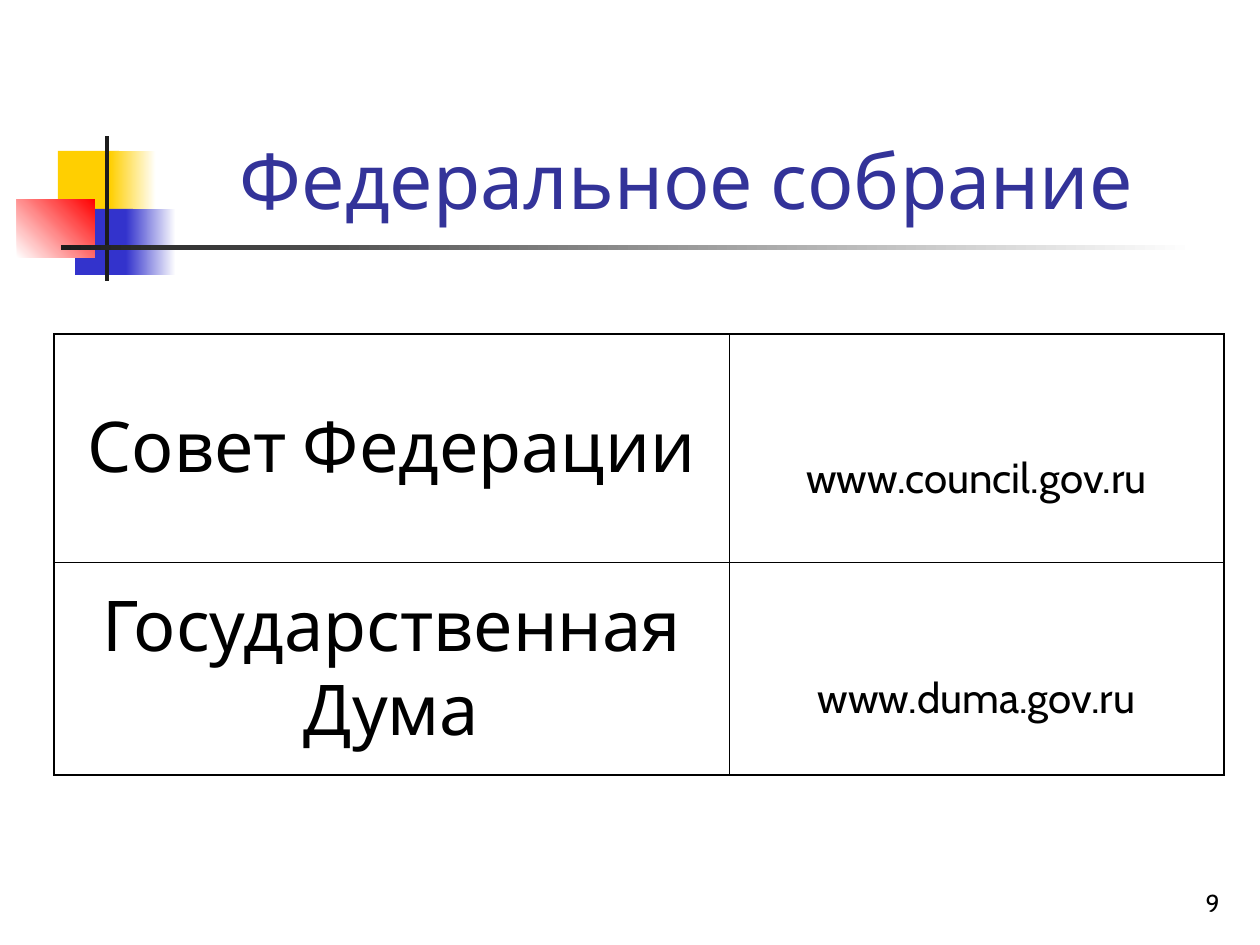
from dataclasses import dataclass

import pptx
import pptx.dml.color
import pptx.enum.dml
import pptx.enum.shapes
import pptx.enum.text
import pptx.oxml
import pptx.oxml.ns
import pptx.util

ALIGN = pptx.enum.text.PP_ALIGN
ANCHOR = pptx.enum.text.MSO_ANCHOR
EMU_PER_PX = 914400 / 126


@dataclass(frozen=True)
class Theme:
    font: str = "Cabin"
    white: str = "FFFFFF"
    black: str = "000000"
    title: str = "333399"
    yellow: str = "FFCF01"
    blue: str = "3333CC"
    red: str = "FF0000"
    bar: str = "1C1C1C"
    title_size: int = 44
    name_size: int = 40
    address_size: int = 24
    number_size: int = 14
    outer_line: float = 1.08
    inner_line: float = 0.45


@dataclass(frozen=True)
class Block:
    left: int
    top: int
    width: int
    height: int
    start: str
    end: str = ""
    angle: int = 0


@dataclass(frozen=True)
class Chamber:
    name: str
    address: str
    height: int


THEME = Theme()
BLOCKS = (
    Block(58, 151, 61, 66, THEME.yellow),
    Block(110, 151, 46, 66, THEME.yellow, THEME.white),
    Block(75, 209, 58, 66, THEME.blue),
    Block(126, 209, 50, 66, THEME.blue, THEME.white),
    Block(17, 199, 78, 59, THEME.white, THEME.red, 45),
    Block(105, 136, 4, 145, THEME.bar),
    Block(61, 245, 1134, 5, THEME.bar, THEME.white),
)
CHAMBERS = (
    Chamber("Совет Федерации", "www.council.gov.ru", 228),
    Chamber("Государственная Дума", "www.duma.gov.ru", 213),
)
COLUMN_WIDTHS = (675, 495)
ADDRESS_TOP_MARGIN = 67


def px(value: int) -> int:
    return round(value * EMU_PER_PX)


def rgb(value: str) -> pptx.dml.color.RGBColor:
    return pptx.dml.color.RGBColor.from_string(value)


def write(frame, text: str, *, size: int, color: str = THEME.black,
          align=ALIGN.CENTER, before: int = 0) -> None:
    frame.word_wrap = True
    para = frame.paragraphs[0]
    para.alignment = align
    para.space_before = pptx.util.Pt(before)
    span = para.add_run()
    span.text = text
    span.font.name = THEME.font
    span.font.size = pptx.util.Pt(size)
    span.font.color.rgb = rgb(color)


def draw_block(page, block: Block) -> None:
    shape = page.shapes.add_shape(
        pptx.enum.shapes.MSO_SHAPE.RECTANGLE,
        px(block.left), px(block.top), px(block.width), px(block.height))
    shape.shadow.inherit = False
    shape.line.fill.background()
    if not block.end:
        shape.fill.solid()
        shape.fill.fore_color.rgb = rgb(block.start)
        return
    shape.fill.gradient()
    shape.fill.gradient_angle = block.angle
    for stop, color in zip(shape.fill.gradient_stops, (block.start, block.end)):
        stop.color.rgb = rgb(color)


def set_borders(cell, **widths: float) -> None:
    properties = cell._tc.get_or_add_tcPr()
    for index, (side, width) in enumerate(widths.items()):
        properties.insert(index, pptx.oxml.parse_xml(
            f'<a:{side} {pptx.oxml.ns.nsdecls("a")} w="{pptx.util.Pt(width)}">'
            f'<a:solidFill><a:srgbClr val="{THEME.black}"/></a:solidFill></a:{side}>'))


def draw_table(page) -> None:
    last_row, last_column = len(CHAMBERS) - 1, len(COLUMN_WIDTHS) - 1
    table = page.shapes.add_table(
        len(CHAMBERS), len(COLUMN_WIDTHS), px(54), px(334),
        px(sum(COLUMN_WIDTHS)), px(sum(item.height for item in CHAMBERS))).table
    table.first_row = table.horz_banding = False
    for column, width in zip(table.columns, COLUMN_WIDTHS):
        column.width = px(width)
    for row_index, chamber in enumerate(CHAMBERS):
        row = table.rows[row_index]
        row.height = px(chamber.height)
        name, address = row.cells
        write(name.text_frame, chamber.name, size=THEME.name_size, before=10)
        write(address.text_frame, chamber.address, size=THEME.address_size, before=6)
        address.margin_top = px(ADDRESS_TOP_MARGIN)
        for column_index, cell in enumerate((name, address)):
            cell.vertical_anchor = ANCHOR.MIDDLE
            cell.fill.background()
            edges = {"lnL": column_index == 0, "lnR": column_index == last_column,
                     "lnT": row_index == 0, "lnB": row_index == last_row}
            set_borders(cell, **{
                side: THEME.outer_line if outer else THEME.inner_line
                for side, outer in edges.items()})


def place(box, left: int, top: int, width: int, height: int) -> None:
    box.left, box.top, box.width, box.height = map(px, (left, top, width, height))
    box.text_frame.vertical_anchor = ANCHOR.BOTTOM
    box.text_frame.auto_size = pptx.enum.text.MSO_AUTO_SIZE.NONE


def main() -> None:
    deck = pptx.Presentation()
    deck.slide_width, deck.slide_height = px(1260), px(945)
    page = deck.slides.add_slide(deck.slide_layouts[5])
    page.background.fill.solid()
    page.background.fill.fore_color.rgb = rgb(THEME.white)
    for block in BLOCKS:
        draw_block(page, block)

    title = page.shapes.title
    place(title, 159, 29, 1073, 202)
    write(title.text_frame, "Федеральное собрание ",
          size=THEME.title_size, color=THEME.title)

    draw_table(page)

    number = page.shapes.add_textbox(0, 0, 0, 0)
    place(number, 970, 861, 262, 63)
    write(number.text_frame, "9", size=THEME.number_size, align=ALIGN.RIGHT)
    deck.save("out.pptx")


if __name__ == "__main__":
    main()
